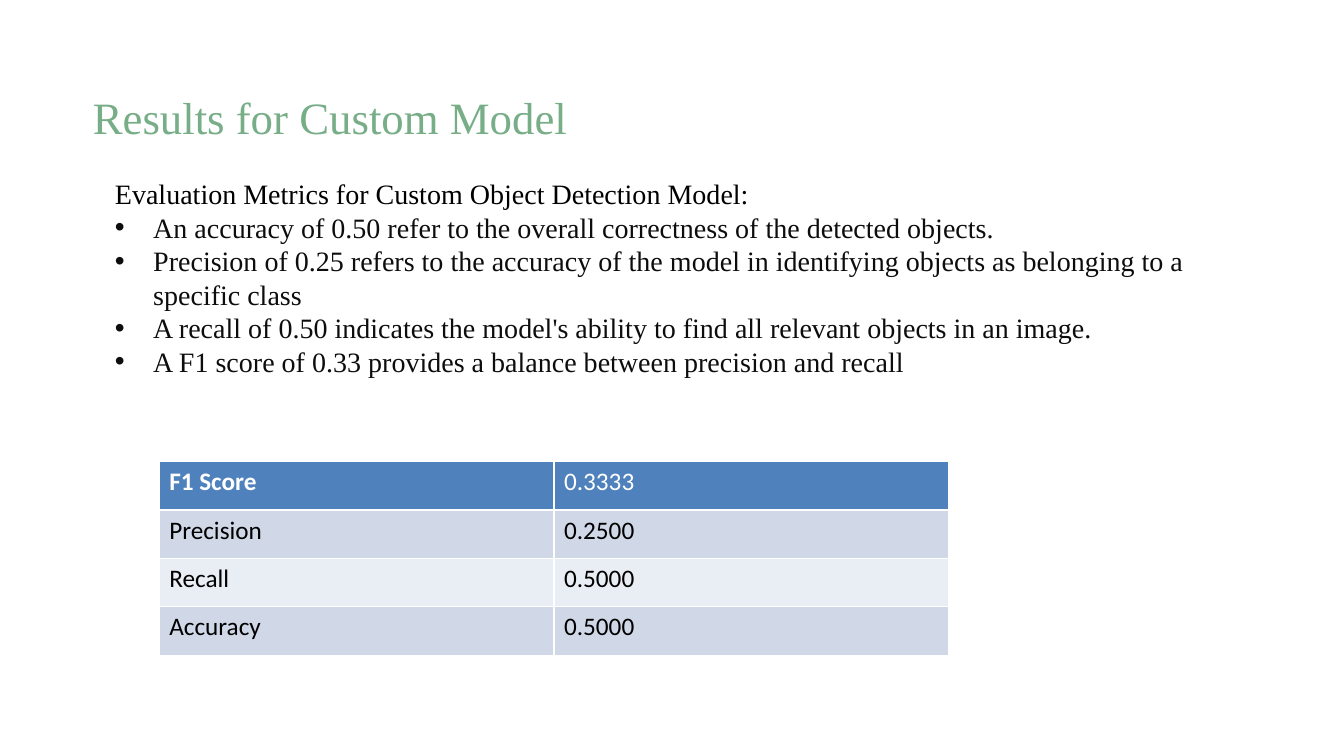
from pptx import Presentation
from pptx.dml.color import RGBColor
from pptx.enum.text import MSO_ANCHOR as Anchor, PP_ALIGN as Align
from pptx.oxml.ns import qn
from pptx.util import Inches, Pt
from lxml import etree

COLORS = {"title": "77AE87", "text": "000000", "bullet": "0D0D0D", "header": "4F81BD",
          "header_text": "FFFFFF", "dark_band": "D0D8E8", "light_band": "E9EDF4"}
SERIF = "Times New Roman"

METRIC_NOTES = [
    "An accuracy of 0.50 refer to the overall correctness of the detected objects.",
    "Precision of 0.25 refers to the accuracy of the model in identifying objects "
    "as belonging to a specific class",
    "A recall of 0.50 indicates the model's ability to find all relevant objects in an image.",
    "A F1 score of 0.33 provides a balance between precision and recall",
]
SCORES = [("F1 Score", "0.3333"), ("Precision", "0.2500"),
          ("Recall", "0.5000"), ("Accuracy", "0.5000")]


def add_span(para, text, color, **formats):
    span = para.add_run()
    span.text = text
    span.font.color.rgb = RGBColor.from_string(COLORS[color])
    for name, value in formats.items():
        setattr(span.font, name, value)


def set_frame(box, left, top, width, height, top_margin=0):
    box.left, box.top = Inches(left), Inches(top)
    box.width, box.height = Inches(width), Inches(height)
    formats = {"margin_left": 0, "margin_right": 0, "margin_top": Inches(top_margin),
               "margin_bottom": 0, "word_wrap": True, "vertical_anchor": Anchor.TOP}
    for name, value in formats.items():
        setattr(box.text_frame, name, value)


deck = Presentation()
deck.slide_width, deck.slide_height = Inches(13.33), Inches(7.5)
page = deck.slides.add_slide(deck.slide_layouts[5])

# Title
title = page.shapes.title
set_frame(title, 0.92, 0.83, 10.71, 0.75, top_margin=0.06)
para = title.text_frame.paragraphs[0]
para.alignment = Align.LEFT
add_span(para, "Results for Custom Model", "title", name=SERIF, size=Pt(32))

# Metric explanations
box = page.shapes.add_textbox(0, 0, 0, 0)
set_frame(box, 1.14, 1.75, 11.06, 2.02)
para = box.text_frame.paragraphs[0]
para.line_spacing = Pt(24)
add_span(para, "Evaluation Metrics for Custom Object Detection Model:", "text",
         name=SERIF, size=Pt(20))
for note in METRIC_NOTES:
    para = box.text_frame.add_paragraph()
    para.line_spacing = Pt(24)
    add_span(para, note, "bullet", name=SERIF, size=Pt(20))
    props = para._p.get_or_add_pPr()
    props.set("marL", str(Inches(0.38)))
    props.set("indent", str(Inches(-0.38)))
    etree.SubElement(props, qn("a:buFont")).set("typeface", "Arial")
    etree.SubElement(props, qn("a:buChar")).set("char", "•")

# Score table
table = page.shapes.add_table(len(SCORES), 2, Inches(1.58), Inches(4.58),
                              Inches(7.83), Inches(1.92)).table
for row, scores in enumerate(SCORES):
    is_header = row == 0
    band = "header" if is_header else "dark_band" if row % 2 else "light_band"
    for column, text in enumerate(scores):
        cell = table.cell(row, column)
        cell.fill.solid()
        cell.fill.fore_color.rgb = RGBColor.from_string(COLORS[band])
        add_span(cell.text_frame.paragraphs[0], text,
                 "header_text" if is_header else "text",
                 name="Calibri", size=Pt(18), bold=is_header and column == 0)

deck.save("out.pptx")
